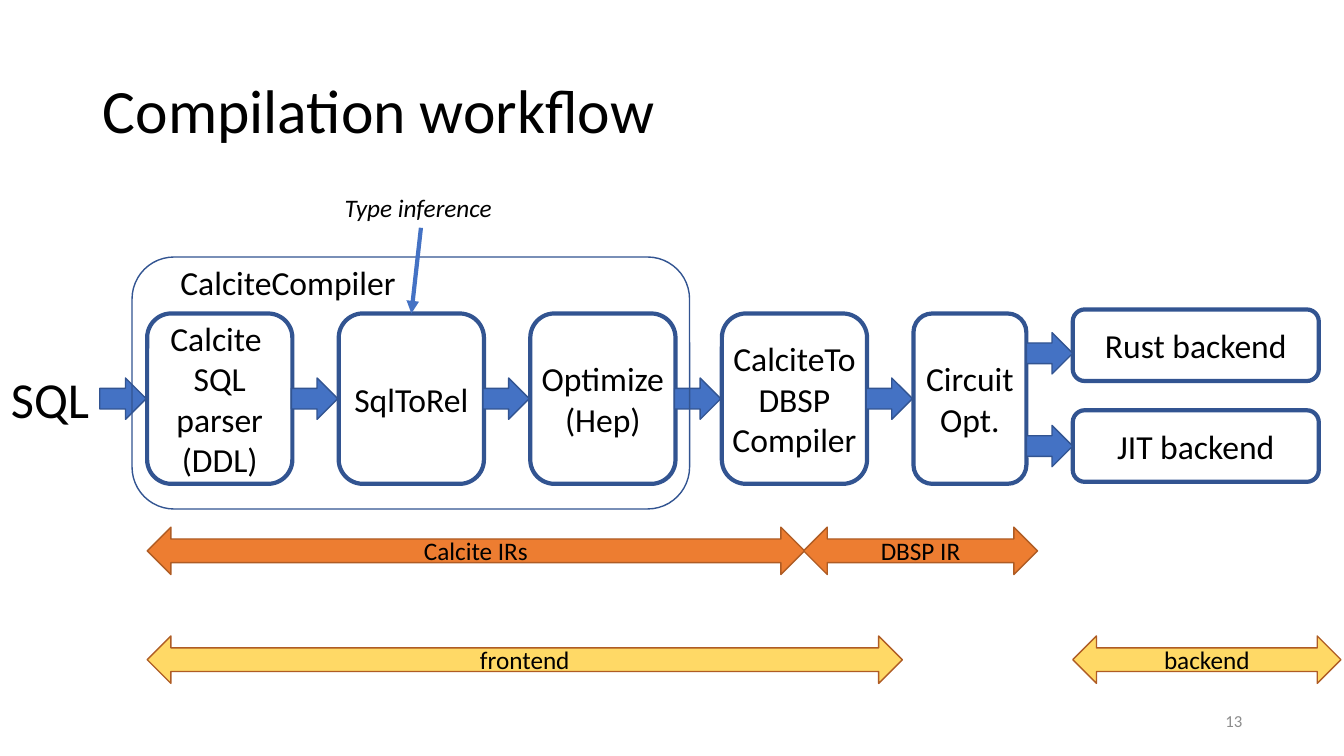
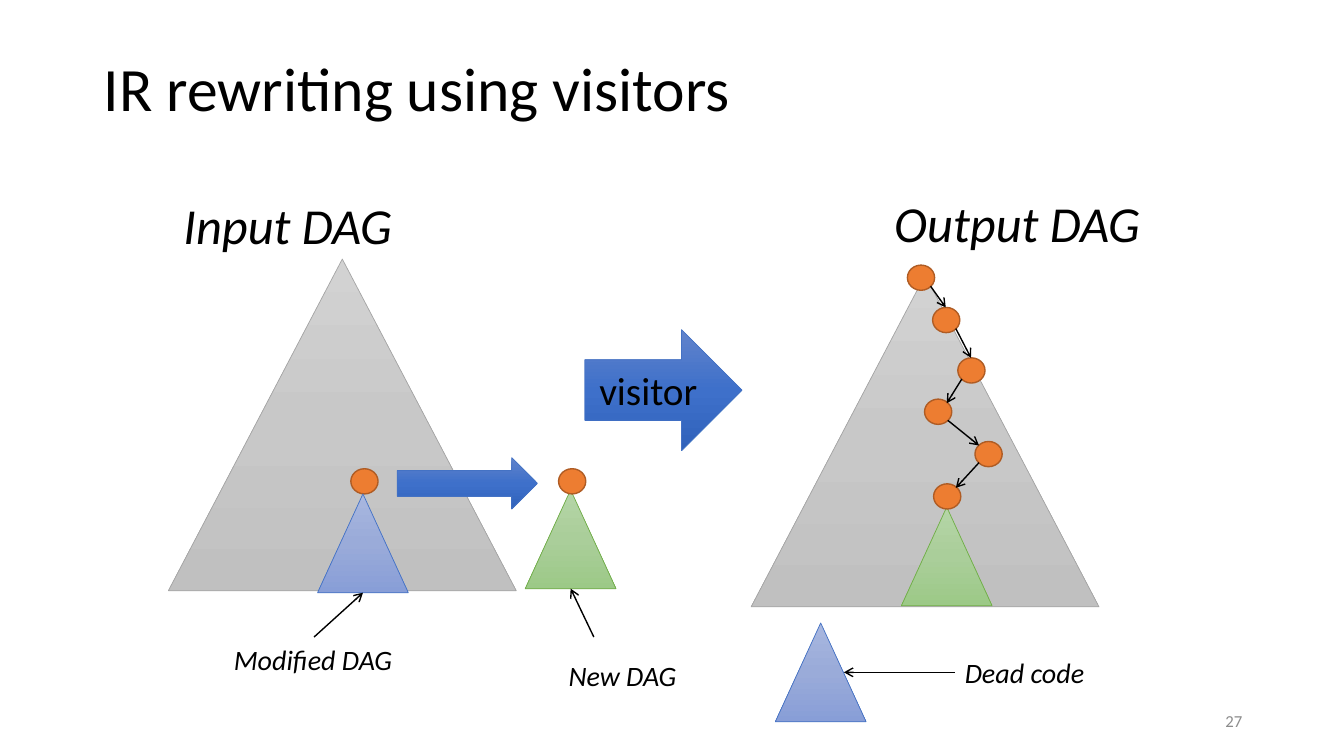
from copy import deepcopy
from itertools import pairwise

from lxml.etree import SubElement
from pptx import Presentation
from pptx.dml.color import RGBColor
from pptx.enum.shapes import MSO_CONNECTOR, MSO_SHAPE
from pptx.enum.text import MSO_ANCHOR, MSO_AUTO_SIZE, PP_ALIGN
from pptx.oxml.ns import qn
from pptx.util import Pt

EMU_PER_PX = 9144
FONT = "Calibri"
COLORS = {
    "text": "000000",
    "number": "8C8C8C",
    "blue": "4472C4",
    "blue_edge": "325491",
    "orange": "ED7D31",
    "orange_edge": "AF5C24",
    "yellow": "FFD966",
    "gray": "A5A5A5",
    "green": "70AD47",
}
GRADIENTS = {
    "gray": ("D2D2D2", "C8C8C8", "C0C0C0"),
    "green": ("B5D5A7", "AACE9A", "9CC987"),
    "lilac": ("A8B7DF", "9AABD9", "889ED7"),
    "blue": ("6183CB", "3E70CA", "3062BB"),
}
SUBTREE = (90, 98)
FULL_TREE = (345, 329)
NODE = (27, 25)
PORTS = {
    "top": (13, 0),
    "top_left": (4, 4),
    "top_right": (22, 4),
    "bottom_left": (4, 21),
    "bottom_right": (23, 21),
}


def px(*lengths):
    return [length * EMU_PER_PX for length in lengths]


def color(name):
    return RGBColor.from_string(COLORS[name])


def write(shape, text, size=24, ink="text", italic=False, align=PP_ALIGN.CENTER,
          anchor=MSO_ANCHOR.MIDDLE, wrap=True, fit=False, spacing=None):
    frame = shape.text_frame
    frame.word_wrap = wrap
    frame.auto_size = MSO_AUTO_SIZE.SHAPE_TO_FIT_TEXT if fit else MSO_AUTO_SIZE.NONE
    frame.vertical_anchor = anchor
    paragraph = frame.paragraphs[0]
    paragraph.text = text
    paragraph.alignment = align
    if spacing:
        paragraph.line_spacing = spacing
    for run in paragraph.runs:
        run.font.name = FONT
        run.font.size = Pt(size)
        run.font.italic = italic
        run.font.color.rgb = color(ink)
    return shape


def add_label(slide, box, text, **text_format):
    settings = {"align": PP_ALIGN.LEFT, "anchor": MSO_ANCHOR.TOP,
                "wrap": False, "fit": True} | text_format
    return write(slide.shapes.add_textbox(*px(*box)), text, **settings)


def add_figure(slide, kind, box, edge, width=1, fill=None, gradient=None):
    shape = slide.shapes.add_shape(kind, *px(*box))
    shape.shadow.inherit = False
    shape.line.color.rgb = color(edge)
    shape.line.width = Pt(width)
    if gradient:
        shape.fill.gradient()
        shape.fill.gradient_angle = 270
        stop_list = next(shape._element.spPr.iter(qn("a:gsLst")))
        stop_list.append(deepcopy(stop_list[-1]))
        stops = shape.fill.gradient_stops
        for stop, position, tone in zip(stops, (0, 0.5, 1), GRADIENTS[gradient]):
            stop.position = position
            stop.color.rgb = RGBColor.from_string(tone)
    elif fill:
        shape.fill.solid()
        shape.fill.fore_color.rgb = color(fill)
    else:
        shape.fill.background()
    return shape


def add_arrow(slide, start, end, ink="text", width=1, head="arrow"):
    connector = slide.shapes.add_connector(MSO_CONNECTOR.STRAIGHT, *px(*start, *end))
    connector.line.color.rgb = color(ink)
    connector.line.width = Pt(width)
    SubElement(connector.line._get_or_add_ln(), qn("a:tailEnd"), type=head)
    SubElement(connector._element.spPr, qn("a:effectLst"))
    return connector


def add_titled_slide(presentation, title, title_box, number):
    slide = presentation.slides.add_slide(presentation.slide_layouts[5])
    placeholder = slide.shapes.title
    placeholder.left, placeholder.top, placeholder.width, placeholder.height = px(*title_box)
    write(placeholder, title, size=44, align=PP_ALIGN.LEFT, spacing=0.9)
    add_label(slide, (942, 695, 300, 40), number, size=12, ink="number",
              align=PP_ALIGN.RIGHT, anchor=MSO_ANCHOR.MIDDLE, wrap=True, fit=False)
    return slide


def add_flow_arrow(slide, left, top):
    add_figure(slide, MSO_SHAPE.RIGHT_ARROW, (left, top, 46, 41), "blue_edge", fill="blue")


def add_step(slide, box, text, wrap=False):
    shape = add_figure(slide, MSO_SHAPE.ROUNDED_RECTANGLE, box, "blue_edge", width=3)
    return write(shape, text, wrap=wrap)


def add_pipeline(slide, left, top):
    add_label(slide, (left - 145, top + 49, 99, 71), "SQL", size=36)
    stages = [
        ("Calcite \nSQL parser\n(DDL)", 144, True),
        ("SqlToRel", 144, False),
        ("Optimize\n(Hep)", 144, False),
        ("CalciteTo\nDBSP\nCompiler", 144, False),
        ("Circuit\nOpt.", 112, False),
    ]
    steps = []
    for index, (text, width, wrap) in enumerate(stages):
        stage_left = left + 190 * index
        add_flow_arrow(slide, stage_left - 47, top + 64)
        steps.append(add_step(slide, (stage_left, top, width, 169), text, wrap))
    return steps


def add_backends(slide, left, top):
    for text, offset, arrow_offset in (("Rust backend", 0, 23), ("JIT backend", 100, 115)):
        add_step(slide, (left, top + offset, 244, 71), text)
        add_flow_arrow(slide, left - 46, top + arrow_offset)


def add_calcite_group(slide, left, top, type_step):
    add_figure(slide, MSO_SHAPE.ROUNDED_RECTANGLE, (left, top, 553, 250), "blue_edge")
    add_label(slide, (left + 38, top, 236, 50), "CalciteCompiler")
    note = add_label(slide, (left + 201, top - 69, 171, 40), "Type inference",
                     size=18, italic=True)
    arrow = add_arrow(slide, (417, 227), (408, 311), "blue", 3, "triangle")
    arrow.begin_connect(note, 2)
    arrow.end_connect(type_step, 0)


def add_spans(slide, top, fill, spans):
    for text, left, width in spans:
        span = add_figure(slide, MSO_SHAPE.LEFT_RIGHT_ARROW, (left, top, width, 47),
                          "orange_edge", fill=fill)
        write(span, text, size=18)


def build_workflow(presentation):
    slide = add_titled_slide(presentation, "Compilation workflow", (92, 40, 1150, 145), "13")
    steps = add_pipeline(slide, 146, 311)
    add_backends(slide, 1064, 307)
    add_calcite_group(slide, 131, 255, steps[1])
    add_spans(slide, 523, "orange", [("Calcite IRs", 146, 652), ("DBSP IR", 797, 232)])
    add_spans(slide, 631, "yellow", [("frontend", 146, 749), ("backend", 1064, 266)])


def add_tree(slide, left, top, size, gradient, edge):
    add_figure(slide, MSO_SHAPE.ISOSCELES_TRIANGLE, (left, top, *size), edge,
               width=0.5, gradient=gradient)


def add_node(slide, left, top):
    add_figure(slide, MSO_SHAPE.OVAL, (left, top, *NODE), "orange_edge", fill="orange")


def add_gradient_arrow(slide, box):
    return add_figure(slide, MSO_SHAPE.RIGHT_ARROW, box, "blue", width=0.5, gradient="blue")


def add_input_dag(slide, left, top):
    add_tree(slide, left, top, FULL_TREE, "gray", "gray")
    add_label(slide, (left + 5, top - 69, 229, 71), "Input DAG", size=36, italic=True)
    add_node(slide, left + 181, top + 208)
    add_tree(slide, left + 148, top + 233, SUBTREE, "lilac", "blue")
    add_gradient_arrow(slide, (left + 227, top + 197, 139, 51))
    modified = add_label(slide, (left + 55, top + 375, 179, 44), "Modified DAG",
                         size=20, italic=True)
    arrow = add_arrow(slide, (left + 144, top + 375), (left + 193, top + 331))
    arrow.begin_connect(modified, 0)


def add_new_dag(slide, left, top):
    add_tree(slide, left, top, SUBTREE, "green", "green")
    add_node(slide, left + 33, top - 21)
    add_label(slide, (left + 33, top + 162, 128, 44), "New DAG", size=20, italic=True)
    add_arrow(slide, (left + 68, top + 146), (left + 45, top + 98))


def add_output_dag(slide, left, top):
    add_tree(slide, left, top, FULL_TREE, "gray", "gray")
    add_tree(slide, left + 149, top + 230, SUBTREE, "green", "green")
    add_label(slide, (left + 132, top - 87, 266, 71), "Output DAG", size=36, italic=True)
    chain = [
        (155, -10, "top"),
        (180, 32, "top"),
        (205, 82, "top"),
        (172, 123, "top_right"),
        (222, 165, "top_left"),
        (181, 207, "top_right"),
    ]
    for x, y, _ in chain:
        add_node(slide, left + x, top + y)
    for (x, y, _), (next_x, next_y, entry) in pairwise(chain):
        exit_x, exit_y = PORTS["bottom_right" if next_x > x else "bottom_left"]
        entry_x, entry_y = PORTS[entry]
        add_arrow(slide, (left + x + exit_x, top + y + exit_y),
                  (left + next_x + entry_x, top + next_y + entry_y))


def add_dead_code(slide, left, top):
    add_tree(slide, left, top, SUBTREE, "lilac", "blue")
    label = add_label(slide, (left + 178, top + 27, 139, 44), "Dead code",
                      size=20, italic=True)
    arrow = add_arrow(slide, (left + 178, top + 49), (left + 68, top + 49))
    arrow.begin_connect(label, 1)


def build_rewriting(presentation):
    slide = add_titled_slide(presentation, "IR rewriting using visitors", (93, 28, 900, 125), "27")
    add_input_dag(slide, 167, 257)
    add_new_dag(slide, 521, 486)
    write(add_gradient_arrow(slide, (580, 327, 156, 120)), "visitor", size=28)
    add_output_dag(slide, 745, 273)
    add_dead_code(slide, 769, 618)


def main():
    presentation = Presentation()
    presentation.slide_width, presentation.slide_height = px(1333, 750)
    build_workflow(presentation)
    build_rewriting(presentation)
    presentation.save("out.pptx")


if __name__ == "__main__":
    main()
